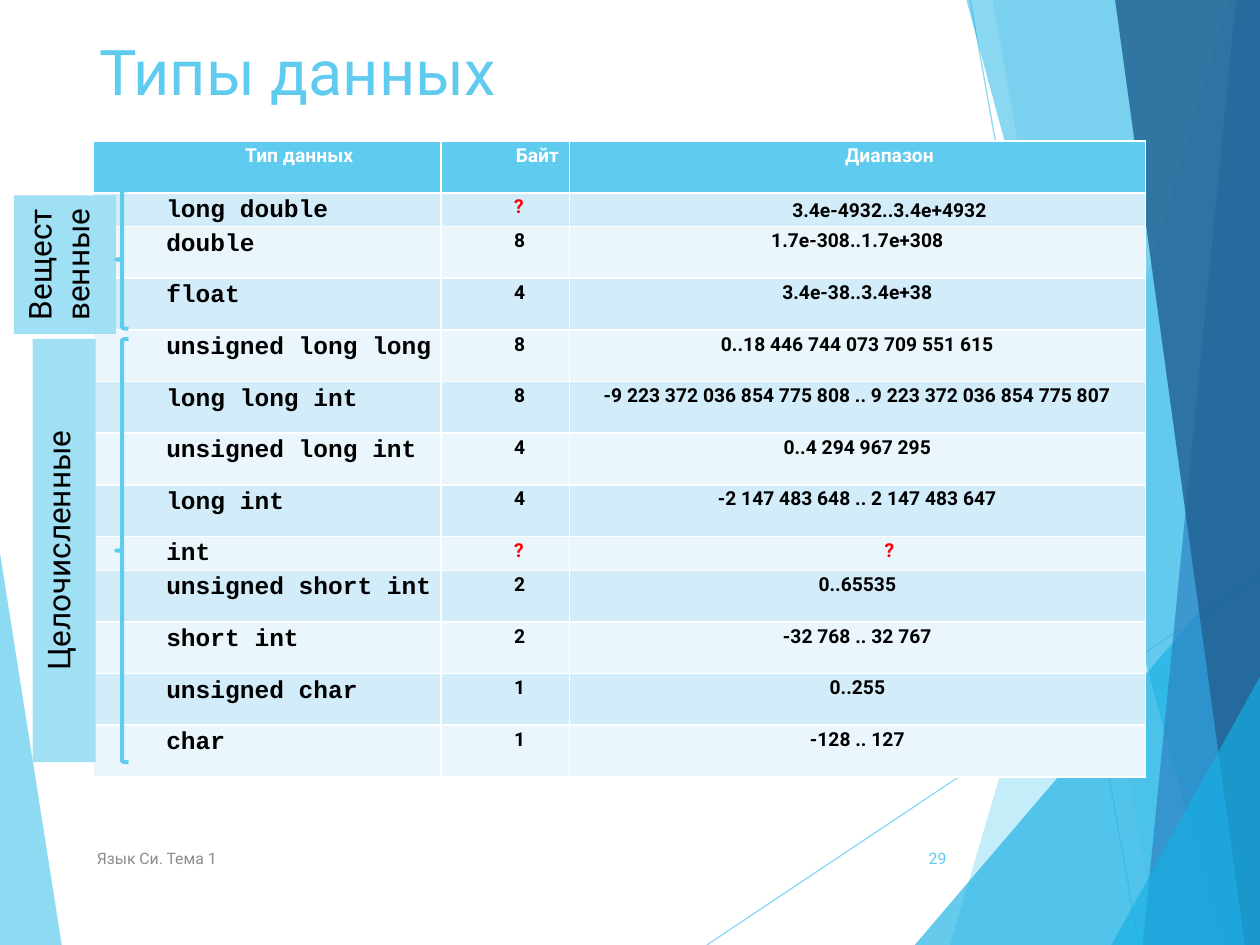
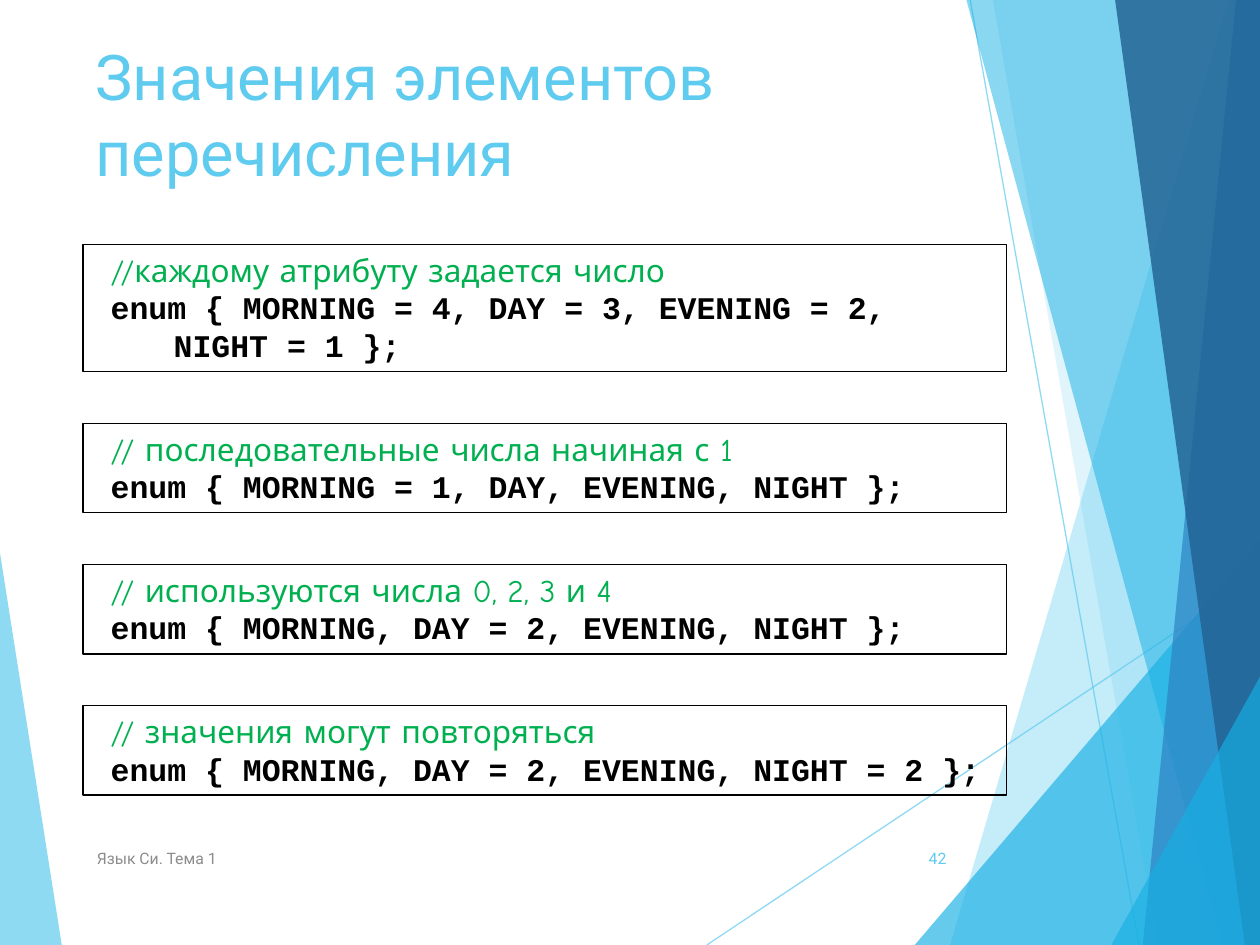
from lxml import etree
from pptx import Presentation
from pptx import util as u
from pptx.dml.color import RGBColor
from pptx.enum import shapes, text
from pptx.oxml.ns import qn

COLORS = {
    "sky": "5FCBEF", "cyan": "17B0E4", "blue": "2E83C3", "navy": "226292",
    "label": "9FE0F5", "band_dark": "D2ECF9", "band_light": "EAF6FC",
    "white": "FFFFFF", "black": "000000", "gray": "8C8C8C",
    "red": "FF0000", "green": "00B050",
}
RGB = {name: RGBColor.from_string(value) for name, value in COLORS.items()}
ALIGN = text.PP_ALIGN


def style(paragraph, size, color, font="Roboto", bold=False, align=ALIGN.LEFT):
    paragraph.alignment = align
    for run in paragraph.runs:
        run.font.size = u.Pt(size)
        run.font.name = font
        run.font.bold = bold
        run.font.color.rgb = RGB[color]


def set_opacity(shape, percent):
    for color in shape.element.spPr.iter(qn("a:srgbClr")):
        etree.SubElement(color, qn("a:alpha")).set("val", str(percent * 1000))


presentation = Presentation()
presentation.slide_width = u.Inches(10)
presentation.slide_height = u.Inches(7.5)

rays = [((5.61, 7.5), (10, 4.57)), ((7.7, 0), (9.04, 7.5))]
facets = [
    ("sky", 70, [(0, 4.39), (0.49, 7.5), (0, 7.5)]),
    ("sky", 36, [(9.75, 0), (7.54, 7.5), (10, 7.5), (10, 0)]),
    ("sky", 20, [(7.88, 0), (9.19, 7.5), (10, 7.5), (10, 0)]),
    ("cyan", 66, [(7.26, 7.5), (10, 4.29), (10, 7.5)]),
    ("cyan", 50, [(7.67, 0), (9.7, 7.5), (10, 7.5), (10, 0)]),
    ("blue", 70, [(9.81, 0), (9.07, 7.5), (10, 7.5), (10, 0)]),
    ("navy", 82, [(8.85, 0), (9.88, 7.5), (10, 7.5), (10, 0)]),
    ("cyan", 66, [(8.82, 7.5), (10, 5.37), (10, 7.5)]),
]
pages = [
    ("Типы данных", 0.69, 0.21, "29"),
    ("Значения элементов перечисления", 0.66, 0.25, "42"),
]

for title, title_left, title_top, number in pages:
    slide = presentation.slides.add_slide(presentation.slide_layouts[6])

    for index, (color, opacity, points) in enumerate(facets):
        corners = [(u.Inches(x), u.Inches(y)) for x, y in points]
        builder = slide.shapes.build_freeform(*corners[0])
        builder.add_line_segments(corners[1:], close=True)
        facet = builder.convert_to_shape()
        facet.shadow.inherit = False
        facet.fill.solid()
        facet.fill.fore_color.rgb = RGB[color]
        facet.line.fill.background()
        set_opacity(facet, opacity)
        if index == 0:
            for start, end in rays:
                ray = slide.shapes.add_connector(
                    shapes.MSO_CONNECTOR.STRAIGHT,
                    *(u.Inches(value) for value in start + end))
                ray.line.color.rgb = RGB["sky"]
                ray.line.width = u.Pt(0.75)
                set_opacity(ray, 70)
                etree.SubElement(ray.element.spPr, qn("a:effectLst"))

    captions = [
        (title, title_left, title_top, 6.94, 1.44, 36, "sky", ALIGN.LEFT),
        (number, 7.05, 6.61, 0.56, 0.4, 9, "sky", ALIGN.RIGHT),
        ("Язык Си. Тема 1", 0.67, 6.61, 5.06, 0.4, 9, "gray", ALIGN.LEFT),
    ]
    for caption, left, top, width, height, size, color, align in captions:
        box = slide.shapes.add_textbox(
            u.Inches(left), u.Inches(top), u.Inches(width), u.Inches(height))
        frame = box.text_frame
        frame.word_wrap = True
        frame.text = caption
        frame.vertical_anchor = (
            text.MSO_ANCHOR.TOP if size == 36 else text.MSO_ANCHOR.MIDDLE)
        style(frame.paragraphs[0], size, color, align=align)

types_slide, enum_slide = presentation.slides

data_types = [
    ("Тип данных", "Байт", "Диапазон"),
    ("long double", "?", "3.4e-4932..3.4e+4932"),
    ("double", "8", "1.7e-308..1.7e+308"),
    ("float", "4", "3.4e-38..3.4e+38"),
    ("unsigned long long", "8", "0..18 446 744 073 709 551 615"),
    ("long long int", "8", "-9 223 372 036 854 775 808 .. 9 223 372 036 854 775 807"),
    ("unsigned long int", "4", "0..4 294 967 295"),
    ("long int", "4", "-2 147 483 648 .. 2 147 483 647"),
    ("int", "?", "?"),
    ("unsigned short int", "2", "0..65535"),
    ("short int", "2", "-32 768 .. 32 767"),
    ("unsigned char", "1", "0..255"),
    ("char", "1", "-128 .. 127"),
]
table = types_slide.shapes.add_table(
    len(data_types), 3, u.Inches(0.74), u.Inches(1.12),
    u.Inches(8.35), u.Inches(4.93)).table
for column, width in zip(table.columns, (2.76, 1.02, 4.57)):
    column.width = u.Inches(width)

for row_index, values in enumerate(data_types):
    header = row_index == 0
    unknown_size = values[1] == "?"
    table.rows[row_index].height = u.Inches(0.21 if unknown_size else 0.41)
    band = "sky" if header else "band_dark" if row_index % 2 else "band_light"
    for column_index, value in enumerate(values):
        cell = table.cell(row_index, column_index)
        cell.fill.solid()
        cell.fill.fore_color.rgb = RGB[band]
        cell.margin_left = cell.margin_right = u.Inches(0.07)
        cell.margin_top = cell.margin_bottom = 0
        cell.text_frame.text = value
        paragraph = cell.text_frame.paragraphs[0]
        paragraph.line_spacing = 1.15
        paragraph.space_before = u.Pt(6)
        paragraph.space_after = u.Pt(12)
        if header or unknown_size or column_index < 2:
            properties = paragraph._p.get_or_add_pPr()
            properties.set("indent", str(u.Inches(0.51)))
        code = column_index == 0 and not header
        style(paragraph, 14 if code else 11,
              "white" if header else "red" if value == "?" else "black",
              "Courier New" if code else "Roboto", True,
              ALIGN.CENTER if header or column_index == 2 else ALIGN.JUSTIFY)
table.cell(1, 2).vertical_anchor = text.MSO_ANCHOR.MIDDLE

type_groups = [
    ("Вещественные", 0.11, 1.55, 0.81, 1.1, 1.51),
    ("Целочисленные", 0.26, 2.69, 0.5, 3.36, 2.69),
]
for name, left, top, width, height, brace_top in type_groups:
    label = types_slide.shapes.add_shape(
        shapes.MSO_SHAPE.RECTANGLE, u.Inches(left), u.Inches(top),
        u.Inches(width), u.Inches(height))
    label.shadow.inherit = False
    label.fill.solid()
    label.fill.fore_color.rgb = RGB["label"]
    label.line.fill.background()
    frame = label.text_frame
    frame.text = name
    frame.word_wrap = True
    frame.auto_size = text.MSO_AUTO_SIZE.SHAPE_TO_FIT_TEXT
    frame.vertical_anchor = text.MSO_ANCHOR.TOP
    label.element.txBody.find(qn("a:bodyPr")).set("vert", "vert270")
    style(frame.paragraphs[0], 18, "black", align=ALIGN.CENTER)

    brace = types_slide.shapes.add_shape(
        shapes.MSO_SHAPE.LEFT_BRACE, u.Inches(0.92), u.Inches(brace_top),
        u.Inches(0.1), u.Inches(height))
    brace.shadow.inherit = False
    brace.fill.background()
    brace.line.color.rgb = RGB["sky"]
    brace.line.width = u.Pt(2.25)

enum_examples = [
    ("//каждому атрибуту задается число",
     "enum { MORNING = 4, DAY = 3, EVENING = 2,", "\tNIGHT = 1 };"),
    ("// последовательные числа начиная с 1",
     "enum { MORNING = 1, DAY, EVENING, NIGHT };"),
    ("// используются числа 0, 2, 3 и 4",
     "enum { MORNING, DAY = 2, EVENING, NIGHT };"),
    ("// значения могут повторяться",
     "enum { MORNING, DAY = 2, EVENING, NIGHT = 2 };"),
]
example_top = 1.94
for lines in enum_examples:
    example_height = 0.11 + 0.3 * len(lines)
    example = enum_slide.shapes.add_shape(
        shapes.MSO_SHAPE.RECTANGLE, u.Inches(0.66), u.Inches(example_top),
        u.Inches(7.33), u.Inches(example_height))
    example.shadow.inherit = False
    example.fill.background()
    example.line.color.rgb = RGB["black"]
    example.line.width = u.Pt(0.75)
    frame = example.text_frame
    frame.word_wrap = True
    frame.auto_size = text.MSO_AUTO_SIZE.SHAPE_TO_FIT_TEXT
    frame.vertical_anchor = text.MSO_ANCHOR.TOP
    frame.text = "\n".join(lines)
    for index, paragraph in enumerate(frame.paragraphs):
        paragraph._p.get_or_add_pPr().set("marL", str(u.Inches(0.12)))
        if index == 0:
            style(paragraph, 18, "green", "Comic Neue")
        else:
            style(paragraph, 18, "black", "Courier New", True)
    example_top += example_height + 0.41

presentation.save("out.pptx")
